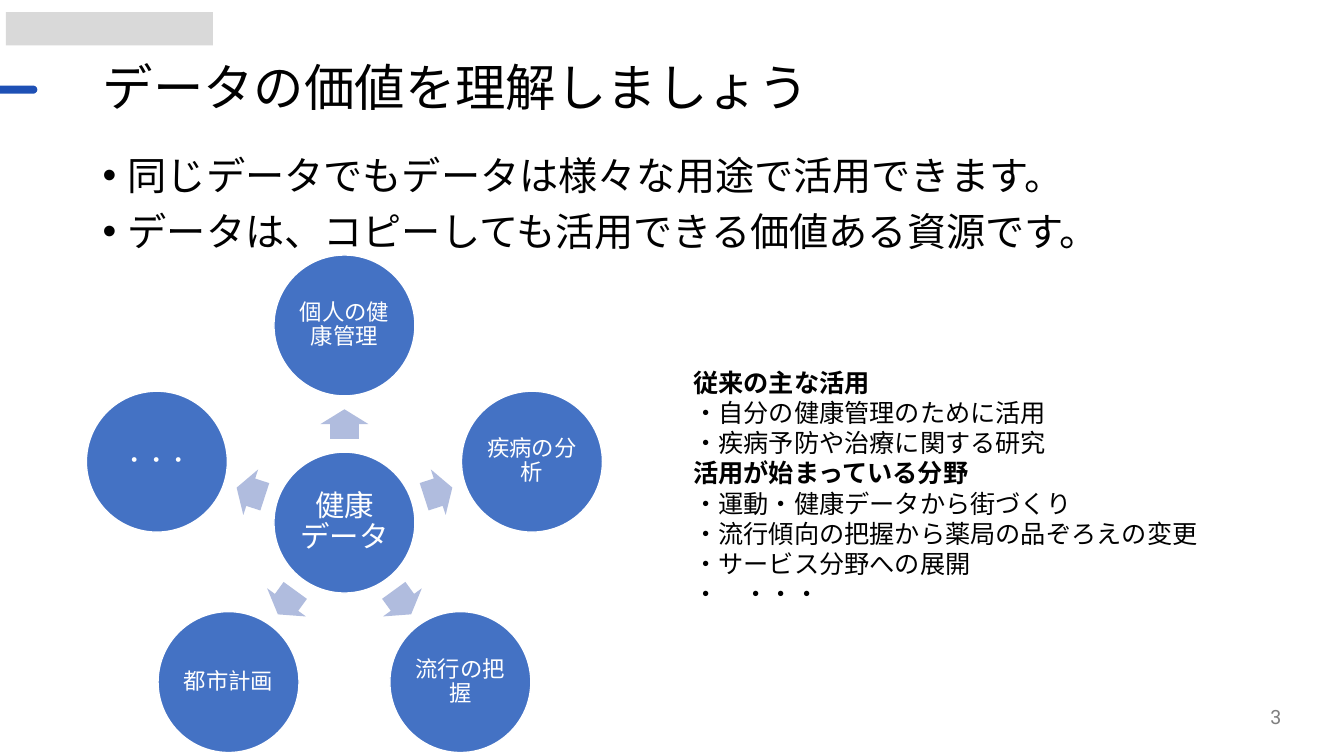
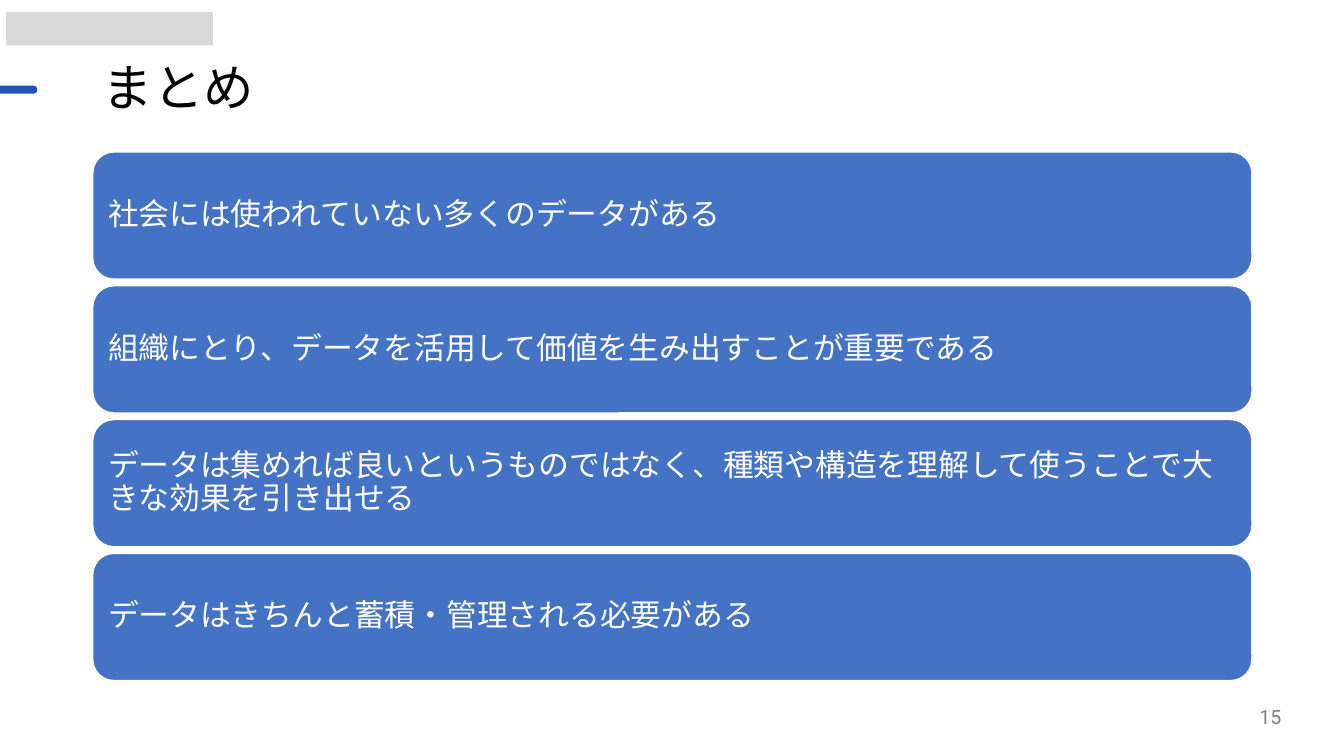
from dataclasses import dataclass
from math import cos, radians, sin

from lxml.etree import SubElement
from pptx import Presentation
from pptx.dml.color import RGBColor
from pptx.enum.shapes import MSO_SHAPE as SHAPE
from pptx.enum.text import MSO_ANCHOR as ANCHOR, PP_ALIGN as ALIGN
from pptx.oxml.ns import qn
from pptx.util import Emu, Inches, Pt


@dataclass(frozen=True)
class Theme:
    # Colours
    ink: str = "000000"
    white: str = "FFFFFF"
    blue: str = "4472C4"
    arrow: str = "B0BCDE"
    accent: str = "1E50B5"
    plate: str = "D9D9D9"
    grey: str = "808080"
    # Fonts
    sans: str = "Noto Sans CJK JP"
    heading: str = "Roboto"
    # Type sizes
    title_pt: int = 36
    body_pt: int = 28
    bar_pt: int = 22
    hub_pt: int = 21
    note_pt: int = 18
    node_pt: int = 16
    number_pt: int = 14
    tight: float = 0.9


T = Theme()
prs = Presentation()
prs.slide_width, prs.slide_height = Inches(13.33), Inches(7.5)


@dataclass(frozen=True)
class Box:
    x: float
    y: float
    w: float
    h: float

    def emu(self):
        return [Emu(round(v)) for v in (self.x, self.y, self.w, self.h)]


def share(x, y, w, h):
    """Box given in percent of the slide's width and height."""
    col, row = prs.slide_width / 100, prs.slide_height / 100
    return Box(x * col, y * row, w * col, h * row)


def centred(x, y, w, h):
    return Box(x - w / 2, y - h / 2, w, h)


# Regions of the slides
PLATE = share(0.45, 1.6, 15.4, 4.4)
DASH = share(-0.75, 11.33, 3.53, 1.07)
TITLE = share(6.9, 7.6, 86.25, 8.67)
NUMBER = share(73.58, 92.13, 22.5, 5.33)
BODY = share(6.9, 20, 87.9, 17.87)
CYCLE = share(6.43, 33.73, 38.4, 65.87)
NOTES = share(50.85, 47.87, 42.08, 33.6)
STACK = share(6.9, 20.1, 86.25, 69.93)


# Basic parts
def add_run(p, text, size, color=T.ink, font=T.sans, bold=False):
    r = p.add_run()
    r.text = text
    r.font.size, r.font.name, r.font.bold = Pt(size), font, bold
    r.font.color.rgb = RGBColor.from_string(color)
    SubElement(r._r.get_or_add_rPr(), qn("a:ea")).set("typeface", T.sans)


def add_text(s, box, anchor=ANCHOR.TOP):
    tf = s.shapes.add_textbox(*box.emu()).text_frame
    tf.word_wrap, tf.vertical_anchor = True, anchor
    return tf


def add_line(s, box, text, size, align=ALIGN.LEFT, spacing=1.0, **style):
    p = add_text(s, box, ANCHOR.MIDDLE).paragraphs[0]
    p.alignment, p.line_spacing = align, spacing
    add_run(p, text, size, **style)


def add_figure(s, kind, box, fill, outline=None):
    sp = s.shapes.add_shape(kind, *box.emu())
    sp.shadow.inherit = False
    sp.fill.solid()
    sp.fill.fore_color.rgb = RGBColor.from_string(fill)
    if outline:
        sp.line.color.rgb, sp.line.width = RGBColor.from_string(outline), Pt(1)
    else:
        sp.line.fill.background()
    return sp


def add_label(s, kind, box, text, size, inset, align):
    tf = add_figure(s, kind, box, T.blue, T.white).text_frame
    tf.word_wrap, tf.vertical_anchor = True, ANCHOR.MIDDLE
    tf.margin_left = tf.margin_right = tf.margin_top = tf.margin_bottom = Inches(inset)
    p = tf.paragraphs[0]
    p.alignment, p.line_spacing = align, T.tight
    add_run(p, text, size, T.white)


# Frame shared by the slides: header plate, dash, title, page number
def new_slide(title, number):
    s = prs.slides.add_slide(prs.slide_layouts[6])
    add_figure(s, SHAPE.RECTANGLE, PLATE, T.plate)
    dash = add_figure(s, SHAPE.ROUNDED_RECTANGLE, DASH, T.accent)
    dash.adjustments[0] = 0.5
    add_line(s, TITLE, title, T.title_pt, spacing=T.tight, font=T.heading)
    add_line(s, NUMBER, str(number), T.number_pt, align=ALIGN.RIGHT,
             color=T.grey, font=T.heading)
    return s


# Bulleted list
def add_bullets(s, box, items):
    tf = add_text(s, box)
    for i, item in enumerate(items):
        p = tf.paragraphs[0] if i == 0 else tf.add_paragraph()
        p.line_spacing, p.space_before = T.tight, Pt(10)
        pPr = p._p.get_or_add_pPr()
        pPr.set("marL", str(Inches(0.25)))
        pPr.set("indent", str(-Inches(0.25)))
        SubElement(pPr, qn("a:buFont")).set("typeface", "Arial")
        SubElement(pPr, qn("a:buChar")).set("char", "•")
        add_run(p, item, T.body_pt)


# Hub with nodes spread evenly around it, clockwise from the top
def add_cycle(s, box, hub, nodes):
    d = box.w / 3.66
    radius = (box.w - d) / 2 / cos(radians(18))
    cx, cy = box.x + box.w / 2, box.y + d / 2 + radius
    add_label(s, SHAPE.OVAL, centred(cx, cy, d, d), hub, T.hub_pt, 0.03, ALIGN.CENTER)
    for i, node in enumerate(nodes):
        angle = i * 360 / len(nodes) - 90
        dx, dy = radius * cos(radians(angle)), radius * sin(radians(angle))
        arrow = add_figure(s, SHAPE.RIGHT_ARROW,
                           centred(cx + dx / 2, cy + dy / 2, d * 0.21, d * 0.34), T.arrow)
        arrow.rotation = angle % 360
        arrow.adjustments[0], arrow.adjustments[1] = 0.6, 0.5
        add_label(s, SHAPE.OVAL, centred(cx + dx, cy + dy, d, d), node,
                  T.node_pt, 0.02, ALIGN.CENTER)


# Bold headings, each with its plain lines
def add_notes(s, box, groups):
    tf = add_text(s, box)
    lines = [(text, i == 0) for group in groups for i, text in enumerate(group)]
    for i, (text, bold) in enumerate(lines):
        p = tf.paragraphs[0] if i == 0 else tf.add_paragraph()
        add_run(p, text, T.note_pt, bold=bold)


# Equal bars that fill the box
def add_stack(s, box, items):
    gap = box.h / 80
    h = (box.h - gap * (len(items) - 1)) / len(items)
    for i, item in enumerate(items):
        bar = Box(box.x, box.y + i * (h + gap), box.w, h)
        add_label(s, SHAPE.ROUNDED_RECTANGLE, bar, item, T.bar_pt, 0.09, ALIGN.LEFT)


# Slide: value of data
s = new_slide("データの価値を理解しましょう", 3)
add_bullets(s, BODY, [
    "同じデータでもデータは様々な用途で活用できます。",
    "データは、コピーしても活用できる価値ある資源です。",
])
add_cycle(s, CYCLE, "健康データ",
          ["個人の健康管理", "疾病の分析", "流行の把握", "都市計画", "・・・"])
add_notes(s, NOTES, [
    ["従来の主な活用",
     "・自分の健康管理のために活用",
     "・疾病予防や治療に関する研究"],
    ["活用が始まっている分野",
     "・運動・健康データから街づくり",
     "・流行傾向の把握から薬局の品ぞろえの変更",
     "・サービス分野への展開",
     "・　・・・"],
])

# Slide: summary
s = new_slide("まとめ", 15)
add_stack(s, STACK, [
    "社会には使われていない多くのデータがある",
    "組織にとり、データを活用して価値を生み出すことが重要である",
    "データは集めれば良いというものではなく、種類や構造を理解して使うことで大きな効果を引き出せる",
    "データはきちんと蓄積・管理される必要がある",
])

prs.save("out.pptx")
